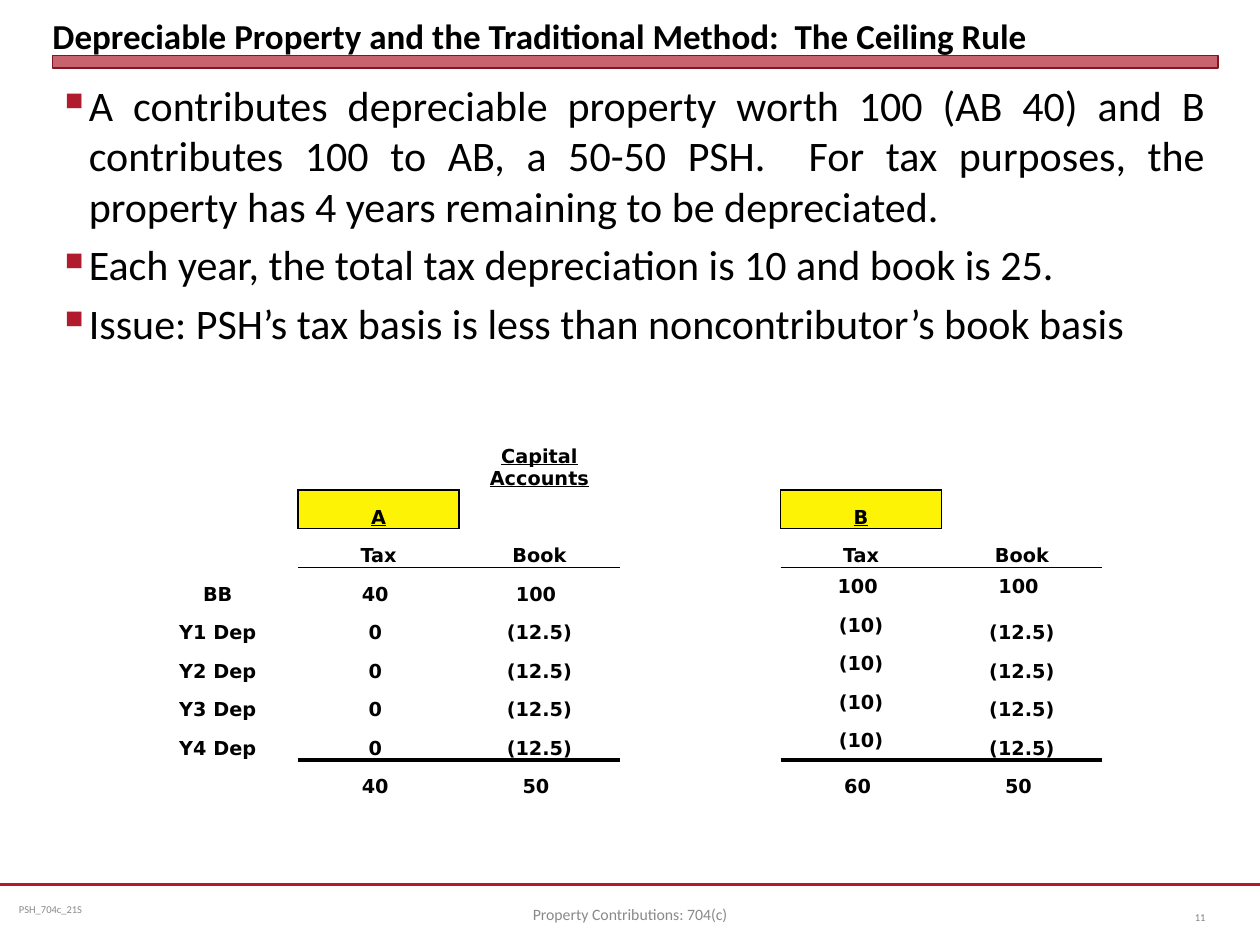
import pptx
import pptx.util
import pptx.dml.color
import pptx.enum.shapes
import pptx.enum.text
import pptx.oxml.ns
from lxml import etree

Pt = pptx.util.Pt
Align = pptx.enum.text.PP_ALIGN
Anchor = pptx.enum.text.MSO_ANCHOR

THEME = {
    "font": "Calibri", "table_font": "DejaVu Sans",
    "ink": "000000", "accent": "B01C2E", "accent_dark": "821522",
    "footer": "898989", "number": "808080", "highlight": "FCF305",
    "title_size": 20, "body_size": 24, "table_size": 11,
    "footer_size": 9, "small_size": 6,
}

TITLE = "Depreciable Property and the Traditional Method:  The Ceiling Rule"
BULLETS = [
    "A contributes depreciable property worth 100 (AB 40) and B contributes 100 to AB, "
    "a 50-50 PSH.  For tax purposes, the property has 4 years remaining to be depreciated.",
    "Each year, the total tax depreciation is 10 and book is 25.",
    "Issue: PSH’s tax basis is less than noncontributor’s book basis",
]
ACCOUNTS = [
    ["", "", "Capital Accounts", "", "", ""],
    ["", "A", "", "", "B", ""],
    ["", "Tax", "Book", "", "Tax", "Book"],
    ["BB", "40 ", "100 ", "", "100 ", "100 "],
    *[[f"Y{year} Dep", "0 ", "(12.5)", "", "(10)", "(12.5)"] for year in range(1, 5)],
    ["", "40 ", "50 ", "", "60 ", "50 "],
]
UNDERLINED = {(0, 2), (1, 1), (1, 4)}
PARTNERS = {(1, 1), (1, 4)}
MIDDLE = {(3, 5)} | {(row, 4) for row in range(3, 8)}
RULES = {2: 1, 7: 2}
RULED_COLUMNS = (1, 2, 4, 5)
COLUMN_WIDTH, HEAD_HEIGHT, ROW_HEIGHT = 91.9, 60.5, 22.05


def color(name):
    return pptx.dml.color.RGBColor.from_string(THEME[name])


def add_xml(parent, tag, **attributes):
    return etree.SubElement(parent, pptx.oxml.ns.qn(tag), attributes)


def style_runs(para, size, ink="ink", font="font", bold=False, underline=False):
    for span in para.runs:
        span.font.size = Pt(THEME[size])
        span.font.name = THEME[font]
        span.font.bold = bold
        span.font.underline = underline
        span.font.color.rgb = color(ink)


def add_text(page, place, text, size, ink="ink", align=Align.LEFT,
             anchor=Anchor.MIDDLE, inset=(7.2, 3.6), bold=False):
    box = page.shapes.add_textbox(*map(Pt, place))
    frame = box.text_frame
    frame.word_wrap = True
    frame.vertical_anchor = anchor
    frame.margin_left = frame.margin_right = Pt(inset[0])
    frame.margin_top = frame.margin_bottom = Pt(inset[1])
    frame.text = text
    for para in frame.paragraphs:
        para.alignment = align
        style_runs(para, size, ink, bold=bold)
    return frame


def add_bullets(frame):
    for index, para in enumerate(frame.paragraphs):
        properties = para._p.get_or_add_pPr()
        properties.set("marL", str(Pt(13.7)))
        properties.set("indent", str(-Pt(13.7)))
        add_xml(add_xml(properties, "a:buClr"), "a:srgbClr", val=THEME["accent"])
        add_xml(properties, "a:buSzPct", val="60000")
        add_xml(properties, "a:buChar", char="■")
        para.space_before = Pt(4.8 if index else 0)


def find_edges():
    edges = {}
    for row, width in RULES.items():
        for column in RULED_COLUMNS:
            edges[row, column, "B"] = edges[row + 1, column, "T"] = width
    for row, column in PARTNERS:
        for side in "LRTB":
            edges[row, column, side] = 1
        edges[row, column - 1, "R"] = edges[row, column + 1, "L"] = 1
        edges[row - 1, column, "B"] = edges[row + 1, column, "T"] = 1
    return edges


def add_accounts(page):
    rows, columns = len(ACCOUNTS), len(ACCOUNTS[0])
    height = HEAD_HEIGHT + (rows - 1) * ROW_HEIGHT
    table = page.shapes.add_table(rows, columns, Pt(78.5), Pt(219.6),
                                  Pt(columns * COLUMN_WIDTH), Pt(height)).table
    table.first_row = table.horz_banding = False
    for column in table.columns:
        column.width = Pt(COLUMN_WIDTH)
    for index, row in enumerate(table.rows):
        row.height = Pt(ROW_HEIGHT if index else HEAD_HEIGHT)
    edges = find_edges()
    for row, texts in enumerate(ACCOUNTS):
        for column, text in enumerate(texts):
            cell = table.cell(row, column)
            cell.margin_left = cell.margin_right = cell.margin_top = Pt(0.7)
            cell.margin_bottom = 0
            cell.vertical_anchor = Anchor.MIDDLE if (row, column) in MIDDLE else Anchor.BOTTOM
            cell.text_frame.text = text
            para = cell.text_frame.paragraphs[0]
            para.alignment = Align.CENTER
            style_runs(para, "table_size", font="table_font", bold=True,
                       underline=(row, column) in UNDERLINED)
            if not text:
                add_xml(para._p, "a:endParaRPr", sz=str(THEME["table_size"] * 100))
            for side in "LRTB":
                width = edges.get((row, column, side), 0)
                line = add_xml(cell._tc.get_or_add_tcPr(), f"a:ln{side}", w=str(Pt(width)))
                if width:
                    add_xml(add_xml(line, "a:solidFill"), "a:srgbClr", val=THEME["ink"])
                else:
                    add_xml(line, "a:noFill")
            if (row, column) in PARTNERS:
                cell.fill.solid()
                cell.fill.fore_color.rgb = color("highlight")
            else:
                cell.fill.background()


def add_decoration(page):
    rule = page.shapes.add_connector(pptx.enum.shapes.MSO_CONNECTOR.STRAIGHT,
                                     0, Pt(505.5), Pt(720), Pt(505.5))
    rule.line.color.rgb = color("accent")
    rule.line.width = Pt(1.25)
    add_xml(rule._element.spPr, "a:effectLst")
    bar = page.shapes.add_shape(pptx.enum.shapes.MSO_SHAPE.RECTANGLE,
                                Pt(30), Pt(31.7), Pt(666), Pt(7.2))
    bar.shadow.inherit = False
    bar.fill.solid()
    bar.fill.fore_color.rgb = color("accent")
    fill = bar._element.spPr.find(pptx.oxml.ns.qn("a:solidFill"))
    add_xml(fill[0], "a:alpha", val="69000")
    bar.line.color.rgb = color("accent_dark")
    bar.line.width = Pt(0)


def main():
    deck = pptx.Presentation()
    deck.slide_width, deck.slide_height = Pt(720), Pt(540)
    page = deck.slides.add_slide(deck.slide_layouts[6])
    add_decoration(page)
    add_text(page, (5.8, 505.5, 185.8, 28.8), "PSH_704c_21S", "small_size", "footer",
             inset=(5, 2.9))
    body = add_text(page, (30, 41.8, 666, 458), "\n".join(BULLETS), "body_size",
                    align=Align.JUSTIFY, anchor=Anchor.TOP)
    add_bullets(body)
    add_text(page, (30, 3.6, 666, 28.8), TITLE, "title_size",
             anchor=Anchor.BOTTOM, inset=(0, 0), bold=True)
    add_text(page, (660, 509.8, 36, 28.8), "11", "small_size", "number", Align.RIGHT)
    add_text(page, (246, 507.8, 228, 28.8), "Property Contributions: 704(c)",
             "footer_size", "footer", Align.CENTER)
    add_accounts(page)
    deck.save("out.pptx")


if __name__ == "__main__":
    main()
